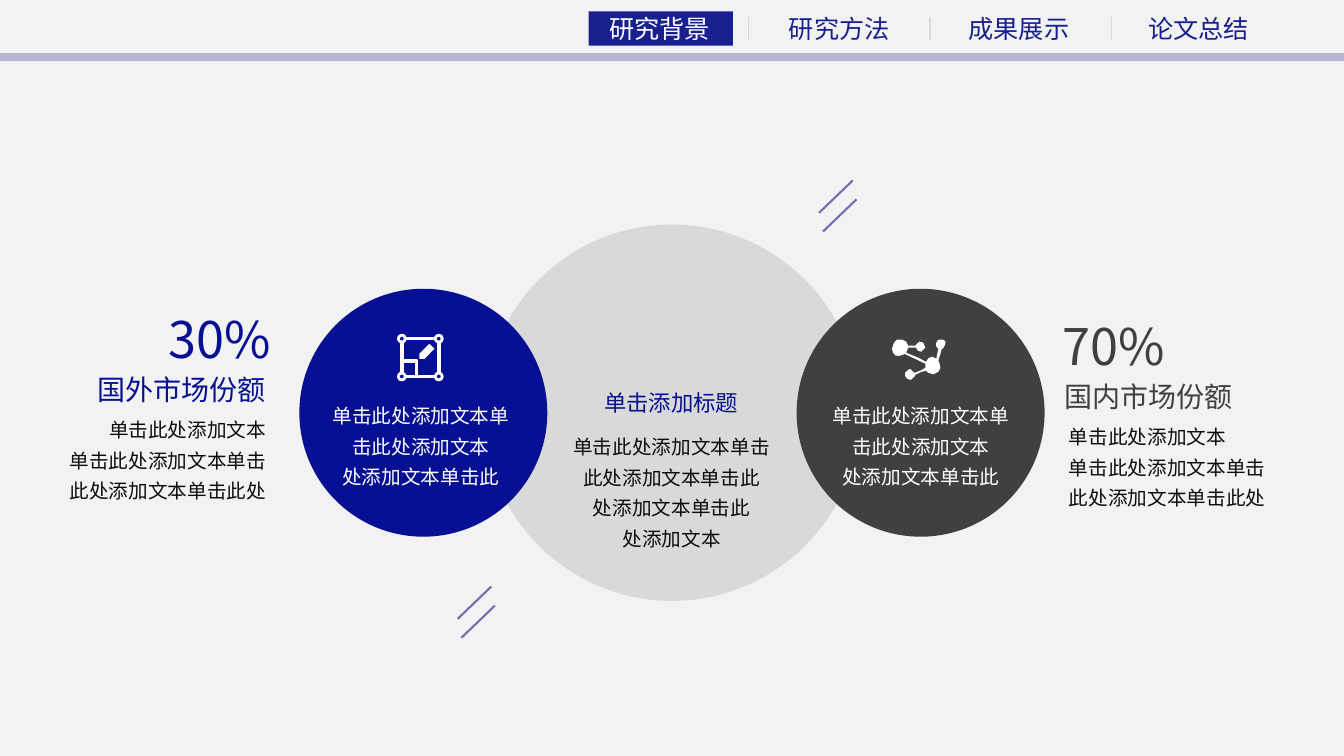
from lxml import etree
from pptx import Presentation, util as u
from pptx.dml.color import RGBColor
from pptx.enum import shapes, text
from pptx.oxml.ns import qn

FONT = "Noto Sans CJK SC"
NAVY, TAB, GREY, INK = "071093", "182090", "404040", "0D0D0D"
WHITE, PALE, SLASH = "FFFFFF", "D9D9D9", "6F6FB1"
LEFT, CENTER, RIGHT = text.PP_ALIGN.LEFT, text.PP_ALIGN.CENTER, text.PP_ALIGN.RIGHT
RECT, OVAL = shapes.MSO_SHAPE.RECTANGLE, shapes.MSO_SHAPE.OVAL

NETWORK = [
    (52, 6), (48, 6), (46, 7), (44.5, 10), (45, 13), (47, 15), (46, 20), (45, 25),
    (41, 23), (37, 24.5), (35, 28), (27, 24), (15, 19), (17, 14), (22, 14), (25, 14),
    (26.5, 17), (30, 18), (34, 14), (32, 9), (28, 8), (24, 12), (17, 12), (15, 8),
    (11, 6), (6, 6), (3, 9), (1, 15), (2, 19), (4.6, 21.8), (8, 22.2), (12, 21),
    (14, 20), (15, 21), (26, 26), (34, 30), (34, 34), (29, 37), (23, 39), (19, 35),
    (16, 37), (14, 39), (14, 42), (16, 45), (19.8, 46), (24, 42), (24, 41), (30, 38),
    (35, 37), (37, 39), (42, 40.5), (47, 38), (49, 34), (48, 29), (47, 27), (49, 20),
    (50, 16), (52, 14), (54, 10.5), (54, 8)]

prs = Presentation()
prs.slide_width, prs.slide_height = u.Inches(13.333), u.Inches(7.5)


def px(share):
    return round(prs.slide_width * share / 100)


def py(share):
    return round(prs.slide_height * share / 100)


def rgb(color):
    return RGBColor.from_string(color)


def paint(sp, color):
    sp.shadow.inherit = False
    sp.fill.solid()
    sp.fill.fore_color.rgb = rgb(color)
    sp.line.fill.background()
    return sp


def box(s, x, y, w, h, color):
    return paint(s.shapes.add_shape(RECT, px(x), py(y), px(w), py(h)), color)


def frame(s, x, y, w, h, color, weight):
    sp = box(s, x, y, w, h, color)
    sp.fill.background()
    sp.line.color.rgb = rgb(color)
    sp.line.width = u.Pt(weight)


def disc(s, cx, cy, d, color):
    size = px(d)
    paint(s.shapes.add_shape(OVAL, px(cx) - size // 2, py(cy) - size // 2, size, size), color)


def outline(s, shares, color):
    points = [(px(x), py(y)) for x, y in shares]
    fb = s.shapes.build_freeform(*points[0])
    fb.add_line_segments(points[1:])
    paint(fb.convert_to_shape(), color)


def line(s, x1, y1, x2, y2, color, weight):
    c = s.shapes.add_connector(shapes.MSO_CONNECTOR.STRAIGHT, px(x1), py(y1), px(x2), py(y2))
    c.line.color.rgb = rgb(color)
    c.line.width = u.Pt(weight)
    etree.SubElement(c._element.spPr, qn("a:effectLst"))


def label(s, x, y, w, h, lines, size, color, align, spacing=None):
    tf = s.shapes.add_textbox(px(x), py(y), px(w), py(h)).text_frame
    tf.word_wrap = True
    tf.auto_size = text.MSO_AUTO_SIZE.SHAPE_TO_FIT_TEXT
    tf.text = "\n".join(lines)
    for p in tf.paragraphs:
        p.alignment = align
        p.line_spacing = spacing
        p.font.size = u.Pt(size)
        p.font.color.rgb = rgb(color)
        p.font.name = FONT
        etree.SubElement(p.font._element, qn("a:ea"), typeface=FONT)


def navigation(s):
    bar = box(s, -2.4, 7.04, 103.4, 1.07, "141B76")
    fill = bar._element.spPr.find(qn("a:solidFill"))
    etree.SubElement(fill[0], qn("a:alpha"), val="27000")
    box(s, 43.8, 1.5, 10.73, 4.53, TAB)
    for i, name in enumerate(["研究背景", "研究方法", "成果展示", "论文总结"]):
        label(s, 44.43 + 13.37 * i, 1.07, 9.3, 5.33, [name], 18, TAB if i else WHITE, CENTER)
    for i in range(3):
        x = 55.7 + 13.51 * i
        line(s, x, 2.27, x, 5.33, PALE, 1)


def slashes(s, x, y):
    for i in range(2):
        x1, y1 = x + 0.28 * i, y + 2.5 * i
        line(s, x1, y1, x1 - 2.5, y1 + 4.27, SLASH, 1.5)


def design_icon(s):
    left, right, top, bottom = 29.9, 32.65, 44.8, 49.8
    frame(s, left, top, right - left, bottom - top, WHITE, 2.5)
    frame(s, left, 47.73, 1.1, bottom - 47.73, WHITE, 2.5)
    for cx in (left, right):
        for cy in (top, bottom):
            disc(s, cx, cy, 0.72, WHITE)
            disc(s, cx, cy, 0.27, NAVY)
    pencil = [(31.95, 45.47), (32.33, 46.13), (31.58, 47.47), (31.2, 47.47), (31.2, 46.8)]
    outline(s, pencil, WHITE)


def network_icon(s):
    outline(s, [(66.3 + 0.075 * x, 44.13 + 0.133 * y) for x, y in NETWORK], WHITE)


def side_disc(s, cx, color, text_x, icon):
    disc(s, cx, 54.6, 18.45, color)
    icon(s)
    lines = ["单击此处添加文本单", "击此处添加文本", "处添加文本单击此"]
    label(s, text_x, 51.87, 16.95, 17.33, lines, 14, WHITE, CENTER, 1.3)


def share(s, xs, y, percent, title, color, percent_align, align):
    label(s, xs[0], y, 16.5, 9.47, [percent], 36, color, percent_align)
    label(s, xs[1], y + 8.45, 16.6, 5.87, [title], 20, color, align)
    lines = ["单击此处添加文本", "单击此处添加文本单击此处添加文本单击此处"]
    label(s, xs[2], y + 13.6, 16.2, 17.33, lines, 14, INK, align, 1.3)


def main():
    s = prs.slides.add_slide(prs.slide_layouts[6])
    s.background.fill.solid()
    s.background.fill.fore_color.rgb = rgb("F2F2F2")
    navigation(s)
    disc(s, 50, 54.6, 28, PALE)
    slashes(s, 63.45, 23.87)
    slashes(s, 36.55, 77.6)
    label(s, 43.45, 50.8, 13, 4.93, ["单击添加标题"], 16, NAVY, CENTER)
    lines = ["单击此处添加文本单击此处添加文本单击此", "处添加文本单击此", "处添加文本"]
    label(s, 41.5, 55.95, 16.95, 21.33, lines, 14, INK, CENTER, 1.3)
    side_disc(s, 31.5, NAVY, 22.85, design_icon)
    side_disc(s, 68.5, GREY, 60.05, network_icon)
    share(s, (8.1, 3.9, 4.35), 40.13, "30%", "国外市场份额", NAVY, CENTER, RIGHT)
    share(s, (78.3, 78.45, 78.8), 41.03, "70%", "国内市场份额", GREY, LEFT, LEFT)
    prs.save("out.pptx")


if __name__ == "__main__":
    main()
